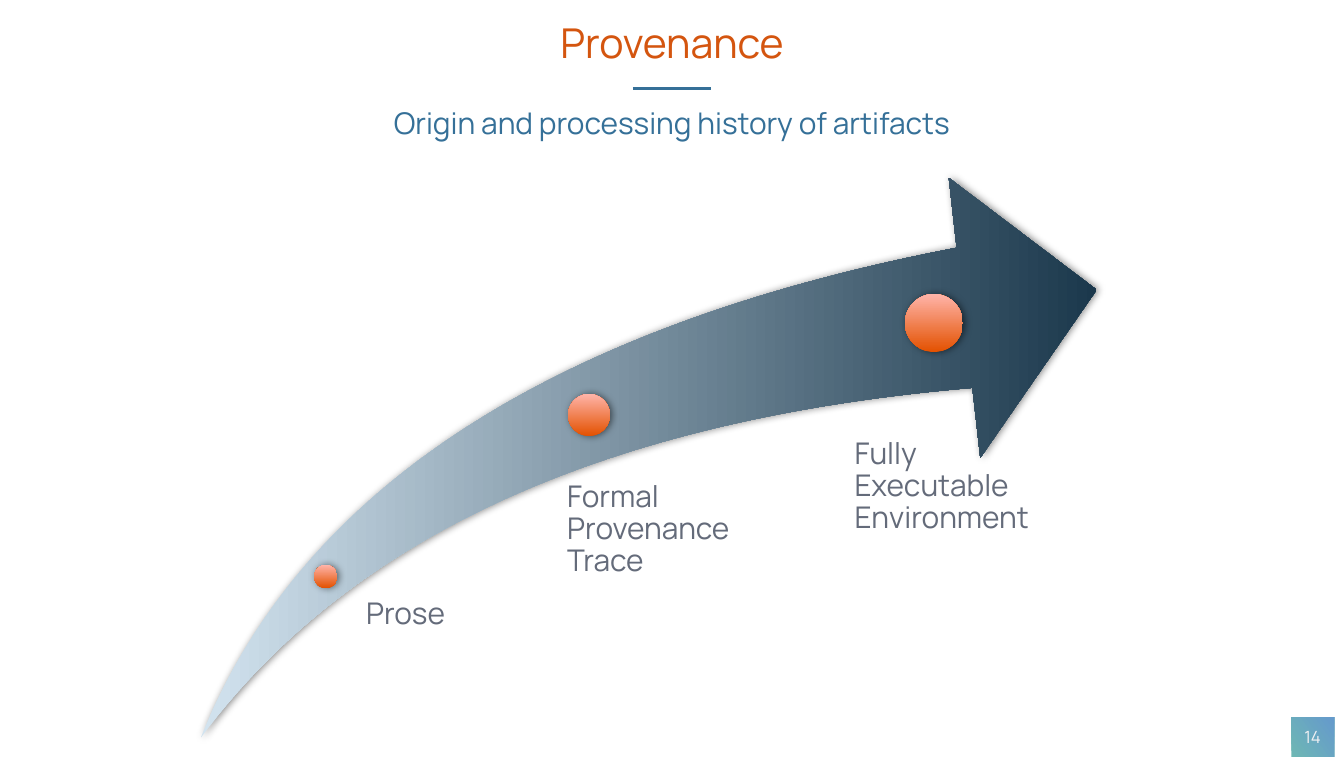
"""Build the slide on provenance, from prose to a fully executable environment."""
from lxml.etree import SubElement
from pptx import Presentation
from pptx.dml.color import RGBColor
from pptx.enum.shapes import MSO_CONNECTOR, MSO_SHAPE
from pptx.enum.text import MSO_ANCHOR, MSO_AUTO_SIZE, PP_ALIGN
from pptx.oxml import parse_xml
from pptx.oxml.ns import nsdecls, qn
from pptx.util import Pt

FONT = "Manrope"
ORANGE, BLUE, GREY, PALE = "D4550F", "357098", "646B7A", "F2F1F3"
SHADOW = (
    f'<a:effectLst {nsdecls("a")}><a:outerShdw blurRad="50800" dist="12700" dir="0" rotWithShape="0">'
    '<a:srgbClr val="000000"><a:alpha val="50000"/></a:srgbClr></a:outerShdw></a:effectLst>'
)


def gradient_shape(kind, box, colours, angle, shadow=True):
    shape = slide.shapes.add_shape(kind, *map(Pt, box))
    shape.line.fill.background()
    shape.fill.gradient()
    shape.fill.gradient_angle = angle
    for stop, colour in zip(shape.fill.gradient_stops, colours):
        stop.color.rgb = RGBColor.from_string(colour)
    if shadow:
        shape._element.spPr.append(parse_xml(SHADOW))
    else:
        shape.shadow.inherit = False
    return shape


def write(holder, box, text, size, colour, insets, align=PP_ALIGN.LEFT, anchor=MSO_ANCHOR.TOP):
    holder.left, holder.top, holder.width, holder.height = map(Pt, box)
    frame = holder.text_frame
    frame.word_wrap = True
    frame.auto_size = MSO_AUTO_SIZE.NONE
    frame.vertical_anchor = anchor
    frame.margin_left, frame.margin_top, frame.margin_right, frame.margin_bottom = map(Pt, insets)
    paragraph = frame.paragraphs[0]
    paragraph.alignment = align
    paragraph.space_before = Pt(0)
    run = paragraph.add_run()
    run.text = text
    run.font.name = FONT
    run.font.size = Pt(size)
    run.font.color.rgb = RGBColor.from_string(colour)
    return paragraph


deck = Presentation()
deck.slide_width, deck.slide_height = Pt(720), Pt(405.36)
slide = deck.slides.add_slide(deck.slide_layouts[0])
title, subtitle = slide.placeholders

heading_insets = (3, 1.5, 3, 1.5)
write(title, (95.5, 8, 529, 32.5), "Provenance", 22, ORANGE, heading_insets, PP_ALIGN.CENTER)
write(subtitle, (95.5, 54.5, 529, 22.5), "Origin and processing history of artifacts",
      16, BLUE, heading_insets, PP_ALIGN.CENTER)

rule = slide.shapes.add_connector(MSO_CONNECTOR.STRAIGHT, Pt(339), Pt(47.4), Pt(381), Pt(47.4))
rule.line.color.rgb = RGBColor.from_string(BLUE)
rule.line.width = Pt(1.5)
SubElement(rule._element.spPr, qn("a:effectLst"))

gradient_shape(MSO_SHAPE.RECTANGLE, (691.8, 384, 23, 21.3), ("6EB7B4", "659ACC"), 36, shadow=False)
page_number = slide.shapes.add_textbox(0, 0, 0, 0)
write(page_number, (696.7, 387.7, 13, 13.5), "14", 9, PALE, (0, 1.5, 0, 1.5),
      PP_ALIGN.CENTER, MSO_ANCHOR.MIDDLE)

progress = gradient_shape(MSO_SHAPE.SWOOSH_ARROW, (107.5, 95.2, 480, 300), ("D2E3EF", "1B384C"), 0)
progress.adjustments[0] = 0.25
progress.adjustments[1] = 0.25

stages = [
    ("Prose", (168.25, 302.5, 12.5), (189.5, 320.5, 111.5, 60.5), 6.6),
    ("Formal Provenance Trace", (304.3, 211, 22.5), (291.9, 257.8, 115.2, 67), 12),
    ("Fully Executable Environment", (484.8, 157.5, 31), (441.4, 234.7, 115.2, 142), 16.4),
]
for label, (left, top, diameter), box, indent in stages:
    gradient_shape(MSO_SHAPE.OVAL, (left, top, diameter, diameter), ("E35100", "FFB4A9"), 90)
    caption = write(slide.shapes.add_textbox(0, 0, 0, 0), box, label, 16, GREY, (indent, 0, 0, 0))
    caption.line_spacing = 0.9

deck.save("out.pptx")
